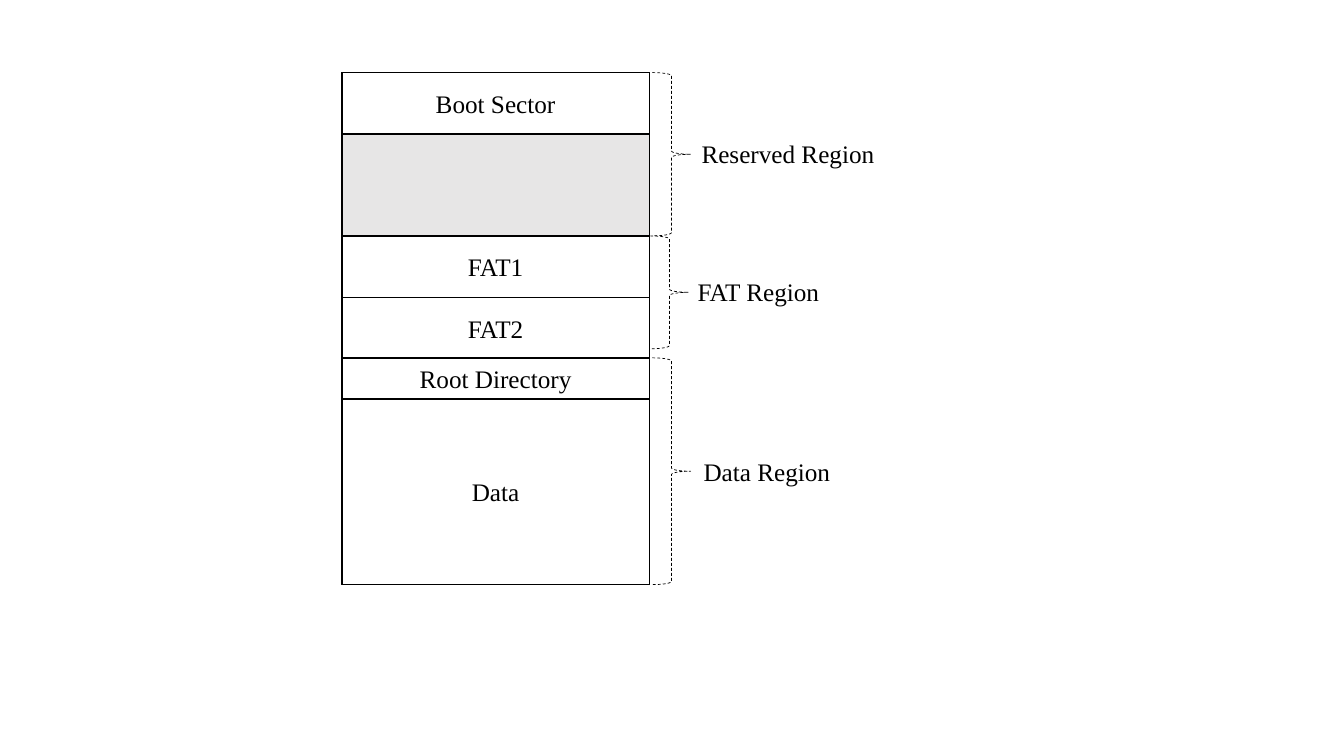
"""Build a slide showing the disk layout of a FAT volume and its regions."""
from pptx import Presentation
from pptx.dml.color import RGBColor
from pptx.enum.dml import MSO_LINE
from pptx.enum.shapes import MSO_SHAPE
from pptx.enum.text import MSO_ANCHOR, MSO_AUTO_SIZE, PP_ALIGN
from pptx.util import Inches, Pt

RECTANGLE, RIGHT_BRACE = MSO_SHAPE.RECTANGLE, MSO_SHAPE.RIGHT_BRACE
DASH = MSO_LINE.DASH
MIDDLE, CENTER = MSO_ANCHOR.MIDDLE, PP_ALIGN.CENTER
FIT_SHAPE = MSO_AUTO_SIZE.SHAPE_TO_FIT_TEXT
BLACK = RGBColor(0x00, 0x00, 0x00)
WHITE = RGBColor(0xFF, 0xFF, 0xFF)
GRAY = RGBColor(0xE7, 0xE6, 0xE6)

VOLUME_LEFT, VOLUME_TOP, VOLUME_WIDTH, VOLUME_HEIGHT = 3.39, 0.72, 3.05, 5.08
BRACE_WIDTH, LABEL_HEIGHT = 0.38, 0.4


def write(shape, text):
    shape.text_frame.text = text
    font = shape.text_frame.paragraphs[0].runs[0].font
    font.name = "Times New Roman"
    font.size = Pt(18)
    font.color.rgb = BLACK


def add_outline(preset, left, top, width, height, weight):
    shape = diagram.shapes.add_shape(
        preset, Inches(left), Inches(top), Inches(width), Inches(height))
    shape.shadow.inherit = False
    shape.line.color.rgb = BLACK
    shape.line.width = Pt(weight)
    return shape


prs = Presentation()
prs.slide_width, prs.slide_height = Inches(13.33), Inches(7.5)
slide = prs.slides.add_slide(prs.slide_layouts[6])
diagram = slide.shapes.add_group_shape()

volume = add_outline(RECTANGLE, VOLUME_LEFT, VOLUME_TOP, VOLUME_WIDTH, VOLUME_HEIGHT, 1)
volume.fill.solid()
volume.fill.fore_color.rgb = GRAY

sectors = [
    ("Boot Sector", 0.72, 0.61),
    ("FAT1", 2.34, 0.61),
    ("FAT2", 2.95, 0.61),
    ("Root Directory", 3.55, 0.41),
    ("Data", 3.96, 1.84),
]
for name, top, height in sectors:
    sector = add_outline(RECTANGLE, VOLUME_LEFT, top, VOLUME_WIDTH, height, 1)
    sector.fill.solid()
    sector.fill.fore_color.rgb = WHITE
    write(sector, name)
    sector.text_frame.vertical_anchor = MIDDLE
    sector.text_frame.paragraphs[0].alignment = CENTER

regions = [
    ("FAT Region", 6.45, 2.34, 1.12, 6.82, 2.69, 1.42),
    ("Reserved Region", 6.47, 0.72, 1.62, 6.86, 1.32, 1.93),
    ("Data Region", 6.47, 3.55, 2.25, 6.88, 4.48, 1.47),
]
for name, brace_left, brace_top, brace_height, label_left, label_top, label_width in regions:
    brace = add_outline(RIGHT_BRACE, brace_left, brace_top, BRACE_WIDTH, brace_height, 0.5)
    brace.fill.background()
    brace.line.dash_style = DASH
    label = diagram.shapes.add_textbox(
        Inches(label_left), Inches(label_top), Inches(label_width), Inches(LABEL_HEIGHT))
    write(label, name)
    label.text_frame.word_wrap = False
    label.text_frame.auto_size = FIT_SHAPE

prs.save("out.pptx")
